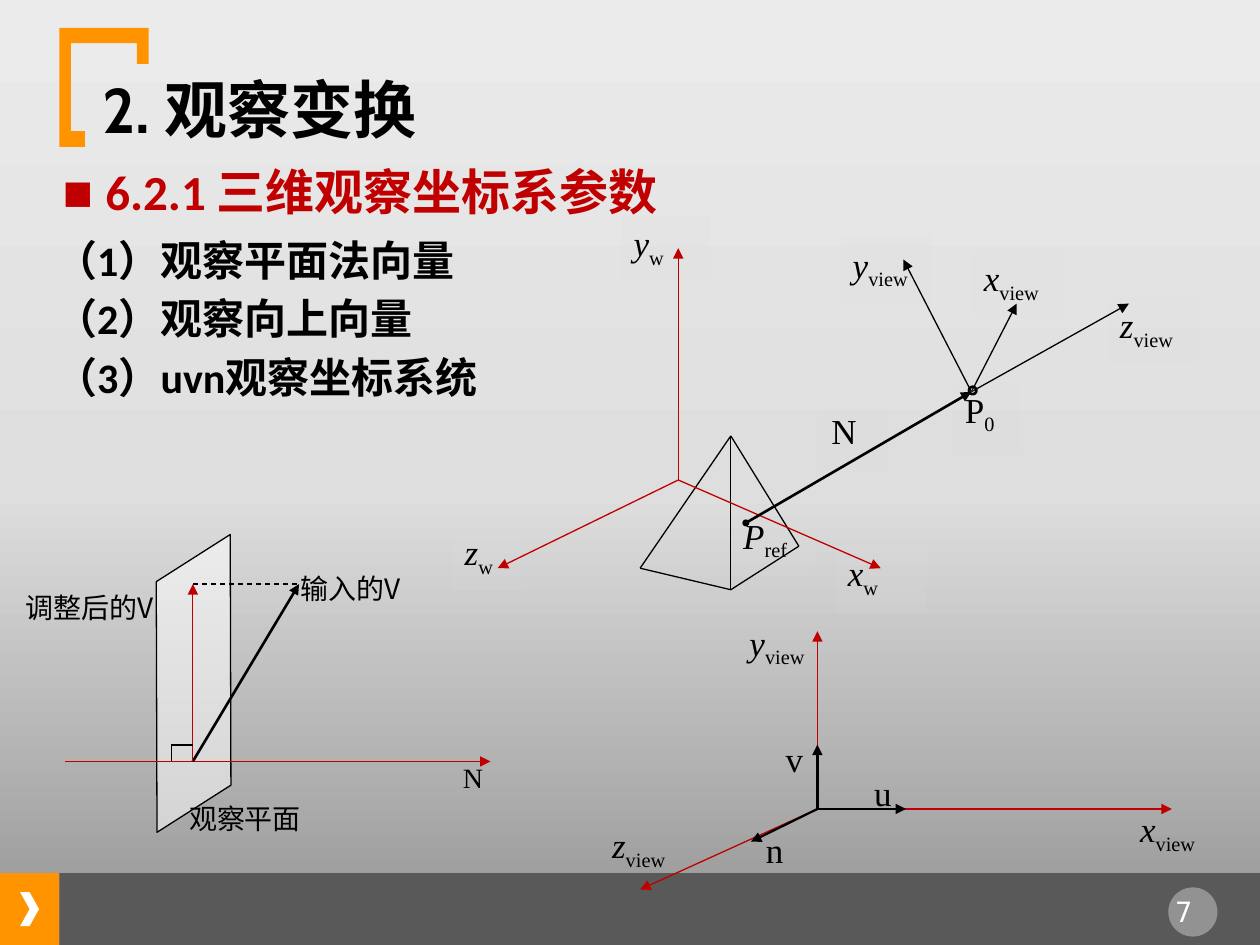
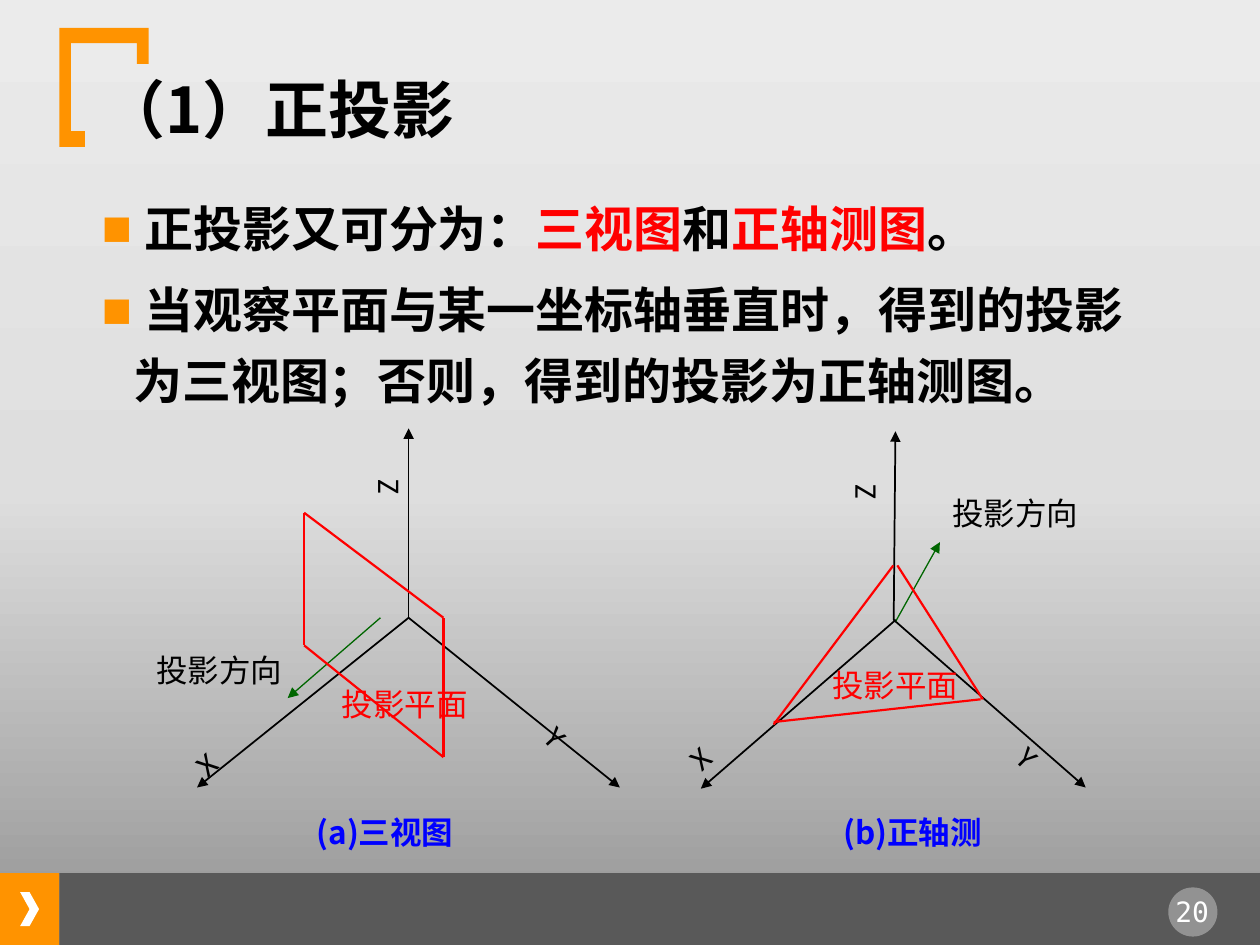
import itertools
from dataclasses import dataclass, field

import pptx
import pptx.dml.color
import pptx.enum.dml
import pptx.enum.shapes
import pptx.enum.text
import pptx.oxml
import pptx.oxml.ns
import pptx.util

Pt = pptx.util.Pt
SHAPE = pptx.enum.shapes.MSO_SHAPE
ALIGN = pptx.enum.text.PP_ALIGN
qn = pptx.oxml.ns.qn

BLACK, WHITE, ORANGE, GREY = "000000", "FFFFFF", "FF9300", "595959"
CRIMSON, RED, GREEN, BLUE, MIST = "C00000", "FF0000", "006600", "0000FF", "DDDDDD"
BACKDROP = [(0, "949494"), (48, "DEDEDE"), (100, "EBEBEB")]
CJK, SERIF, SANS, MONO = "Noto Sans CJK SC", "Times New Roman", "Calibri", "DejaVu Sans Mono"


@dataclass
class Span:
    text: str
    format: dict = field(default_factory=dict)
    color: str = BLACK
    lowered: bool = False


@dataclass
class Label:
    text: str
    left: float
    top: float
    width: float
    height: float = 28
    size: float = 20
    font: str = SERIF
    color: str = BLACK
    bold: bool = False
    turn: float = 0
    align: object = ALIGN.JUSTIFY
    veiled: bool = False


@dataclass
class Stroke:
    start: tuple
    end: tuple
    color: str = BLACK
    width: float = 0.75
    head: str = ""
    tail: str = ""
    dashed: bool = False


# Colours, lines and text
def rgb(color: str):
    return pptx.dml.color.RGBColor.from_string(color)


def add_xml(parent, tag: str, **attributes):
    child = parent.makeelement(qn(tag), attributes)
    parent.append(child)
    return child


def paint(shape, color: str, opacity: int = 100) -> None:
    shape.fill.solid()
    shape.fill.fore_color.rgb = rgb(color)
    if opacity < 100:
        tint = shape.element.spPr.find(qn("a:solidFill"))[0]
        add_xml(tint, "a:alpha", val=str(opacity * 1000))


def add_preset(page, kind, left, top, width, height, color, opacity=100, line_width=0):
    shape = page.shapes.add_shape(kind, Pt(left), Pt(top), Pt(width), Pt(height))
    shape.shadow.inherit = False
    paint(shape, color, opacity)
    if line_width:
        shape.line.color.rgb = rgb(BLACK)
        shape.line.width = Pt(line_width)
    else:
        shape.line.fill.background()
    return shape


def add_stroke(page, stroke: Stroke) -> None:
    ends = [Pt(value) for value in (*stroke.start, *stroke.end)]
    line = page.shapes.add_connector(pptx.enum.shapes.MSO_CONNECTOR.STRAIGHT, *ends)
    line.line.color.rgb = rgb(stroke.color)
    line.line.width = Pt(stroke.width)
    if stroke.dashed:
        line.line.dash_style = pptx.enum.dml.MSO_LINE.DASH
    outline = line.line._get_or_add_ln()
    if stroke.head:
        add_xml(outline, "a:headEnd", type=stroke.head, w="sm", len="sm")
    if stroke.tail:
        add_xml(outline, "a:tailEnd", type=stroke.tail)
    add_xml(line.element.spPr, "a:effectLst")


def add_rays(page, origin: tuple, tips: list, color: str, width: float) -> None:
    for tip in tips:
        add_stroke(page, Stroke(origin, tip, color, width, tail="triangle"))


def add_outline(page, points: list, color: str, width: float) -> None:
    for start, end in itertools.pairwise([*points, points[0]]):
        add_stroke(page, Stroke(start, end, color, width))


def write(para, spans: list, spacing: float = 1.0, align=ALIGN.LEFT) -> None:
    para.line_spacing, para.alignment = spacing, align
    for item in spans:
        span = para.add_run()
        span.text = item.text
        for name, value in item.format.items():
            setattr(span.font, name, value)
        span.font.color.rgb = rgb(item.color)
        properties = span.font._element
        add_xml(properties, "a:ea", typeface=CJK)
        if item.lowered:
            properties.set("baseline", "-25000")


def prepare(box) -> None:
    settings = {"word_wrap": True, "auto_size": pptx.enum.text.MSO_AUTO_SIZE.NONE,
                "vertical_anchor": pptx.enum.text.MSO_ANCHOR.TOP,
                "margin_left": Pt(7.2), "margin_right": Pt(7.2),
                "margin_top": Pt(3.6), "margin_bottom": Pt(3.6)}
    for name, value in settings.items():
        setattr(box.text_frame, name, value)


def add_box(page, left, top, width, height):
    box = page.shapes.add_textbox(Pt(left), Pt(top), Pt(width), Pt(height))
    prepare(box)
    return box


def add_paragraphs(box, paragraphs: list, spacing: float, gap: float, bullet: str = "") -> None:
    for index, spans in enumerate(paragraphs):
        para = box.text_frame.add_paragraph() if index else box.text_frame.paragraphs[0]
        para.space_before = Pt(gap if index else 0)
        if bullet:
            properties = para._p.get_or_add_pPr()
            properties.set("marL", str(Pt(18)))
            properties.set("indent", str(Pt(-18)))
            add_xml(add_xml(properties, "a:buClr"), "a:srgbClr", val=bullet)
            add_xml(properties, "a:buSzPct", val="65000")
            add_xml(properties, "a:buFont", typeface=SANS)
            add_xml(properties, "a:buChar", char="■")
        write(para, spans, spacing)


def add_label(page, label: Label) -> None:
    area = (label.left, label.top, label.width, label.height)
    if label.veiled:
        box = add_preset(page, SHAPE.RECTANGLE, *area, MIST, 15)
        prepare(box)
    else:
        box = add_box(page, *area)
    box.rotation = label.turn
    # "x_view" is an italic letter with a subscript; a numbered point stays upright
    symbol, _, index = label.text.partition("_")
    format = {"name": label.font, "size": Pt(label.size), "bold": label.bold}
    spans = [Span(symbol, format | {"italic": index.isalpha()}, label.color)]
    if index:
        spans.append(Span(index, format, label.color, lowered=True))
    write(box.text_frame.paragraphs[0], spans, align=label.align)


# Everything both slides share
def add_page(deck, title: list, number: int):
    page = deck.slides.add_slide(deck.slide_layouts[5])
    fill = page.background.fill
    fill.gradient()
    fill.gradient_angle = 90
    stops = next(page.element.iter(qn("a:gsLst")))
    for stop in list(stops):
        stops.remove(stop)
    for position, color in BACKDROP:
        stop = add_xml(stops, "a:gs", pos=str(position * 1000))
        add_xml(stop, "a:srgbClr", val=color)

    # Footer band and page number
    add_preset(page, SHAPE.RECTANGLE, 0, 499, 34, 41, ORANGE)
    add_preset(page, SHAPE.RECTANGLE, 34, 499, 686, 41, GREY)
    add_preset(page, SHAPE.CHEVRON, 11.5, 509.8, 10.8, 19.4, WHITE)
    add_preset(page, SHAPE.OVAL, 667.6, 507.1, 28.1, 28.1, WHITE, 35)
    box = add_box(page, 662.2, 507.8, 38.2, 26.6)
    write(box.text_frame.paragraphs[0],
          [Span(f"{number} ", {"name": MONO, "size": Pt(16)}, WHITE)], align=ALIGN.CENTER)

    # Corner bracket
    corners = [(34, 16), (85, 16), (85, 36.5), (78.3, 36.5), (78.3, 24.6),
               (40.5, 24.6), (40.5, 75), (48.5, 75), (48.5, 84), (34, 84)]
    corners = [(Pt(x), Pt(y)) for x, y in corners]
    builder = page.shapes.build_freeform(*corners[0])
    builder.add_line_segments(corners[1:], close=True)
    bracket = builder.convert_to_shape()
    bracket.shadow.inherit = False
    paint(bracket, ORANGE)
    bracket.line.fill.background()

    # Title
    heading = page.shapes.title
    for name, value in {"left": 51.1, "top": 36.7, "width": 583.2, "height": 51.1}.items():
        setattr(heading, name, Pt(value))
    prepare(heading)
    write(heading.text_frame.paragraphs[0],
          [Span(text, {"name": font, "size": Pt(36), "bold": True}) for text, font in title])
    return page


def draw_viewing(deck) -> None:
    page = add_page(deck, [("2. ", "Cabin"), ("观察变换", CJK)], 7)
    strong = {"name": SANS, "bold": True}
    add_paragraphs(add_box(page, 28.8, 92.8, 607, 40),
                   [[Span(" 6.2.1 三维观察坐标系参数", strong | {"size": Pt(28)}, CRIMSON)]],
                   0.9, 0, CRIMSON)
    topics = ["（1）观察平面法向量", "（2）观察向上向量", "（3）uvn观察坐标系统"]
    add_paragraphs(add_box(page, 24.5, 130.2, 306.7, 106),
                   [[Span(topic, strong | {"size": Pt(24)})] for topic in topics], 1.0, 4.8)

    # World axes, pyramid and viewing axes
    for text, left, top, width in [
            ("P_ref", 417.6, 290.2, 47.5), ("y_w", 355, 123.1, 51), ("z_w", 258.5, 299.5, 39),
            ("x_w", 477.4, 311.8, 52), ("P_0", 544.3, 218.2, 39), ("z_view", 632.9, 169.9, 52),
            ("x_view", 555.1, 143.3, 52), ("y_view", 480.2, 135.4, 52), ("N", 468, 230.4, 39)]:
        add_label(page, Label(text, left, top, width, 38, veiled=True))
    apex, base = (417.6, 249.1), (417.6, 337)
    add_outline(page, [base, (365.8, 324.7), apex, (456.5, 312.1)], BLACK, 0.75)
    add_stroke(page, Stroke(base, apex))
    add_rays(page, (387.6, 274.3), [(503.3, 324.7), (387.6, 141.8), (284.4, 324.7)], CRIMSON, 0.75)
    eye = (555.1, 223.9)
    add_rays(page, eye, [(645.1, 173.5), (516.2, 148.3), (581, 173.5)], BLACK, 0.75)
    add_stroke(page, Stroke((426.2, 298.8), eye, width=1.5, head="oval", tail="triangle"))
    add_preset(page, SHAPE.OVAL, 553.7, 221, 4.3, 4.3, MIST, 15, 1.5)

    # Unit vectors u, v, n
    center = (467.1, 462.3)
    add_rays(page, center, [(669.6, 462.3), (467.1, 360.7), (365.8, 508.3)], CRIMSON, 0.75)
    add_rays(page, center, [(467.1, 425.5), (517.7, 462.3), (429.1, 481)], BLACK, 1.25)
    for text, left, top, width in [
            ("x_view", 644.4, 457.9, 50.4), ("y_view", 421.2, 351.4, 50.4),
            ("z_view", 342.7, 467.3, 50.4), ("v", 441.8, 417.8, 25),
            ("u", 492.5, 437.2, 25), ("n", 430.6, 470, 25)]:
        add_label(page, Label(text, left, top, width))

    # Viewing plane with the adjusted up vector
    plane = add_preset(page, SHAPE.PARALLELOGRAM, 47.3, 330, 126.7, 121, WHITE, 52, 0.75)
    plane.adjustments[0] = 0.633
    plane.rotation = 327.5
    foot, adjusted, given = (110.2, 435.1), (110.2, 333.8), (170.9, 333.8)
    add_rays(page, (37.4, 435.1), [(280.3, 435.1)], CRIMSON, 0.75)
    add_rays(page, foot, [given], BLACK, 1.5)
    add_rays(page, foot, [adjusted], CRIMSON, 0.75)
    add_stroke(page, Stroke(adjusted, given, dashed=True))
    for end in [(110.2, 425.8), (97.9, 435.1)]:
        add_stroke(page, Stroke((97.9, 425.8), end))
    add_label(page, Label("N", 257.4, 430.9, 24.5, size=16))
    for text, left, top, width, align in [
            ("输入的V", 160.6, 323.3, 79.2, ALIGN.CENTER),
            ("调整后的V", 6.2, 334.1, 90, ALIGN.CENTER),
            ("观察平面", 101, 454.3, 82, ALIGN.JUSTIFY)]:
        add_label(page, Label(text, left, top, width, size=16, font=CJK, align=align))


def draw_projection(deck) -> None:
    page = add_page(deck, [("（1）正投影", CJK)], 20)
    strong = {"name": SERIF, "size": Pt(28), "bold": True}
    kinds = [(" 正投影又可分为：", BLACK), ("三视图", RED), ("和", BLACK),
             ("正轴测图", RED), ("。", BLACK)]
    rule = " 当观察平面与某一坐标轴垂直时，得到的投影为三视图；否则，得到的投影为正轴测图。"
    add_paragraphs(add_box(page, 51.1, 103.2, 624.2, 140),
                   [[Span(text, strong, color) for text, color in kinds], [Span(rule, strong)]],
                   1.2, 6, ORANGE)

    # (a) plane perpendicular to an axis
    add_rays(page, (233.5, 353), [(233.5, 244.8), (112.6, 450), (354.2, 450)], BLACK, 1)
    add_rays(page, (217.4, 353), [(164.4, 398.9)], GREEN, 0.75)
    add_outline(page, [(253.4, 432.7), (253.4, 353), (173.8, 293), (173.8, 368.8)], RED, 1.25)

    # (b) plane cutting all three axes
    add_rays(page, (510.7, 354.2), [(511.7, 246.5), (620.4, 450)], BLACK, 1)
    add_rays(page, (511.9, 355), [(537.1, 309.8)], GREEN, 0.75)
    add_rays(page, (511.9, 354.2), [(400.5, 450.7)], BLACK, 1)
    for start, end in [((510.5, 323.1), (442.1, 414)), ((442.1, 412.6), (560.4, 399.6)),
                       ((561.6, 399.6), (512.8, 323.1))]:
        add_stroke(page, Stroke(start, end, RED, 1.25))

    # Axis names, notes and captions
    for text, left, top, width, height, turn in [
            ("Z", 198.9, 246.2, 50.4, 36, 270), ("X", 105.8, 413.6, 45.4, 37.4, 318.2),
            ("Y", 298.8, 411.1, 41, 41, 47.3), ("Z", 470.2, 250.6, 50.4, 33, 270),
            ("X", 388.1, 411.1, 41.8, 36.7, 317.2), ("Y", 570.4, 423.6, 41.8, 36.7, 44.9)]:
        add_label(page, Label(text, left, top, width, height, 18, SANS, turn=turn))
    for text, left, top, width, color in [
            ("投影方向", 82.1, 368.6, 115, BLACK), ("投影平面", 188.3, 388.1, 121, RED),
            ("投影平面", 468.5, 377.3, 110, RED), ("投影方向", 537.1, 278.6, 106.6, BLACK),
            ("(a)三视图", 173.8, 460.8, 130, BLUE), ("(b)正轴测", 474.8, 460.8, 123, BLUE)]:
        add_label(page, Label(text, left, top, width, 36, 18, CJK, color, bold=color == BLUE))


def main() -> None:
    deck = pptx.Presentation()
    deck.slide_width, deck.slide_height = Pt(720), Pt(540)
    draw_viewing(deck)
    draw_projection(deck)
    deck.save("out.pptx")


if __name__ == "__main__":
    main()
